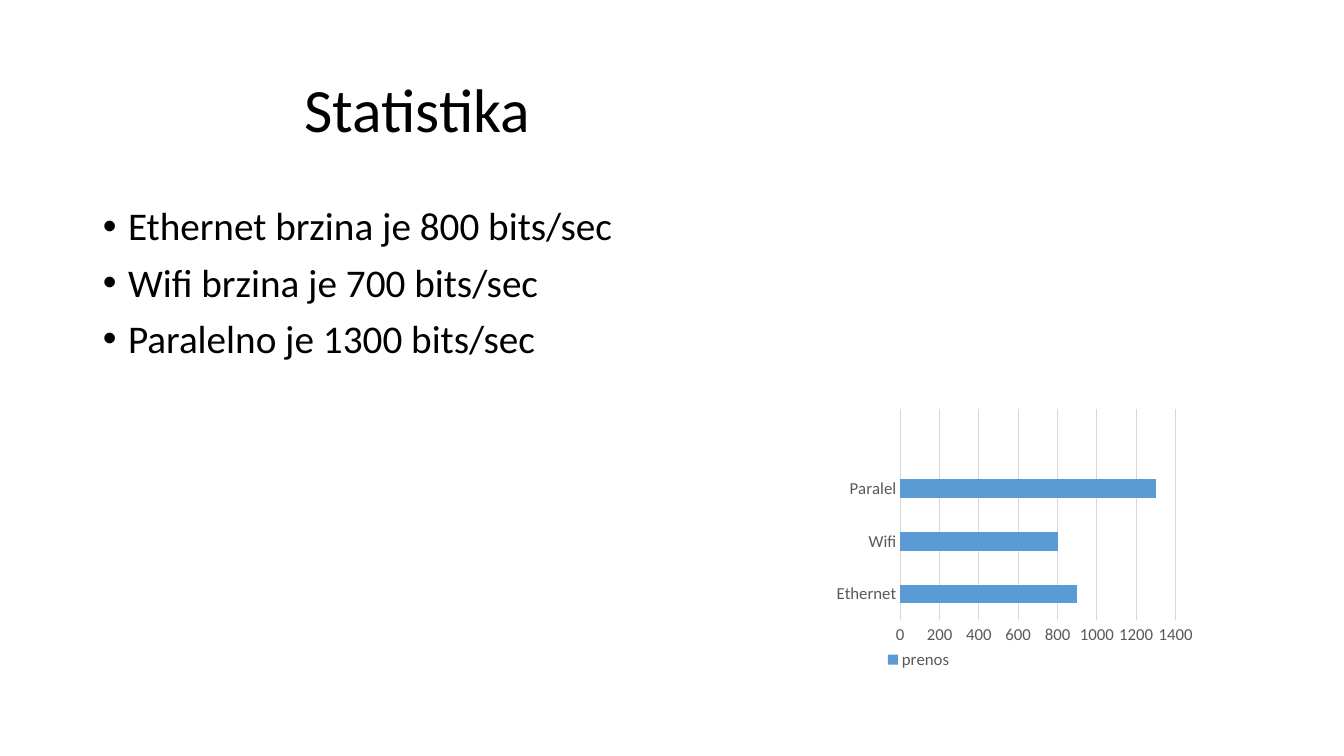
from pptx import Presentation, util as u
from pptx.chart.data import CategoryChartData
from pptx.dml.color import RGBColor
from pptx.enum import chart as ch, text as tx
from pptx.oxml import parse_xml
from pptx.oxml.ns import nsdecls

BLACK = RGBColor(0, 0, 0)
GREY = RGBColor(0x59, 0x59, 0x59)
PALE = RGBColor(0xD9, 0xD9, 0xD9)
BLUE = RGBColor(0x5B, 0x9B, 0xD5)
WIDE, HIGH = u.Inches(13.33), u.Inches(7.5)


def box(x, y, w, h):
    """Turn shares of the slide's size into lengths."""
    return int(x * WIDE), int(y * HIGH), int(w * WIDE), int(h * HIGH)


def style(item, **vals):
    for key, val in vals.items():
        setattr(item, key, val)


def font(item, size, color):
    style(item, name="Calibri", size=u.Pt(size))
    item.color.rgb = color


def fill(holder, area, lines, size, inset, hang=0, gap=0,
         anchor=tx.MSO_ANCHOR.TOP):
    """Place a placeholder and write one paragraph per line."""
    style(holder, **dict(zip(("left", "top", "width", "height"), area)))
    frame = holder.text_frame
    style(frame, word_wrap=True, auto_size=tx.MSO_AUTO_SIZE.NONE,
          vertical_anchor=anchor)
    frame.text = "\n".join(lines)
    for para in frame.paragraphs:
        style(para, alignment=tx.PP_ALIGN.LEFT, line_spacing=0.9,
              space_before=u.Pt(gap))
        props = para._p.get_or_add_pPr()
        props.set("marL", str(u.Inches(inset)))
        props.set("indent", str(u.Inches(hang)))
        font(para.runs[0].font, size, BLACK)


def line(fmt, color):
    fmt.line.color.rgb = color
    fmt.line.width = u.Pt(0.75)


def speeds(slide, area):
    """Bar chart with a free slot above the last bar."""
    data = CategoryChartData()
    data.categories = ["Ethernet", "Wifi", "Paralel", ""]
    data.add_series("prenos", [900, 800, 1300, None])
    chart = slide.shapes.add_chart(
        ch.XL_CHART_TYPE.BAR_CLUSTERED, *area, data).chart
    style(chart, has_title=False, has_legend=True)
    font(chart.font, 10, BLACK)

    # Legend
    style(chart.legend, position=ch.XL_LEGEND_POSITION.BOTTOM,
          include_in_layout=False)
    font(chart.legend.font, 12, GREY)

    # Axes
    cats, vals = chart.category_axis, chart.value_axis
    for axis in (cats, vals):
        style(axis, major_tick_mark=ch.XL_TICK_MARK.NONE,
              minor_tick_mark=ch.XL_TICK_MARK.NONE)
        font(axis.tick_labels.font, 12, GREY)
    line(cats.format, PALE)
    style(vals, minimum_scale=0, maximum_scale=1400, major_unit=200,
          has_major_gridlines=True)
    vals.format.line.fill.background()
    line(vals.major_gridlines.format, PALE)

    # Bars
    plot = chart.plots[0]
    style(plot, gap_width=182, vary_by_categories=False)
    bars = plot.series[0].format.fill
    bars.solid()
    bars.fore_color.rgb = BLUE

    # Inner plot area, in shares of the chart
    modes = "".join(f'<c:{m} val="edge"/>' for m in ("xMode", "yMode"))
    sizes = "".join(f'<c:{k} val="{v}"/>' for k, v in
                    dict(x=0.467, y=0.353, w=0.496, h=0.517).items())
    area = chart._chartSpace.chart.plotArea
    for old in area.findall(area.tag.replace("plotArea", "layout")):
        area.remove(old)
    area.insert(0, parse_xml(
        f'<c:layout {nsdecls("c")}><c:manualLayout>'
        f'<c:layoutTarget val="inner"/>{modes}{sizes}'
        '</c:manualLayout></c:layout>'))


def stats(deck):
    """Slide with title, list and chart."""
    slide = deck.slides.add_slide(deck.slide_layouts[1])
    title, body = slide.placeholders
    fill(title, box(0.069, 0.053, 0.863, 0.193), ["Statistika"], 44,
         inset=2, anchor=tx.MSO_ANCHOR.MIDDLE)
    fill(body, box(0.069, 0.267, 0.863, 0.635),
         ["Ethernet brzina je 800 bits/sec",
          "Wifi brzina je 700 bits/sec",
          "Paralelno je 1300 bits/sec"], 28,
         inset=0.25, hang=-0.25, gap=10)
    speeds(slide, box(0.477, 0.351, 0.413, 0.54))


deck = Presentation()
style(deck, slide_width=WIDE, slide_height=HIGH)
stats(deck)
deck.save("out.pptx")
